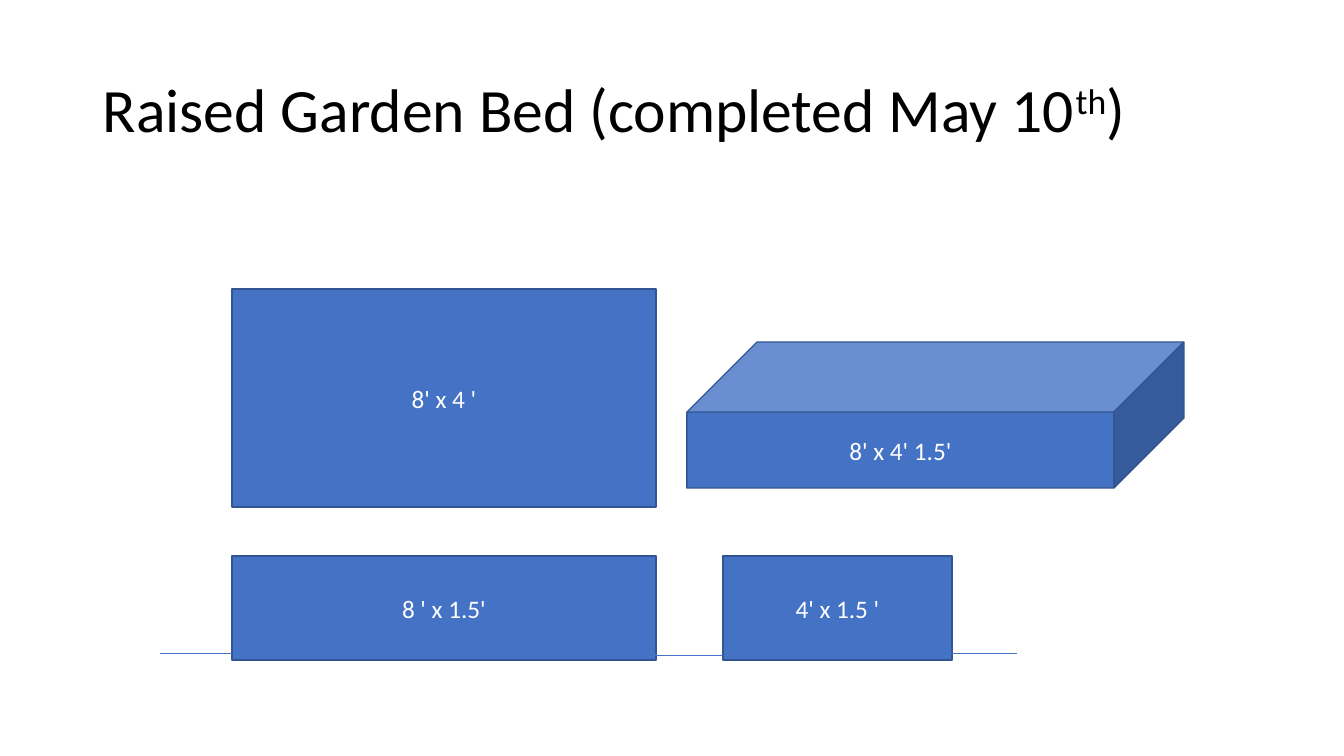
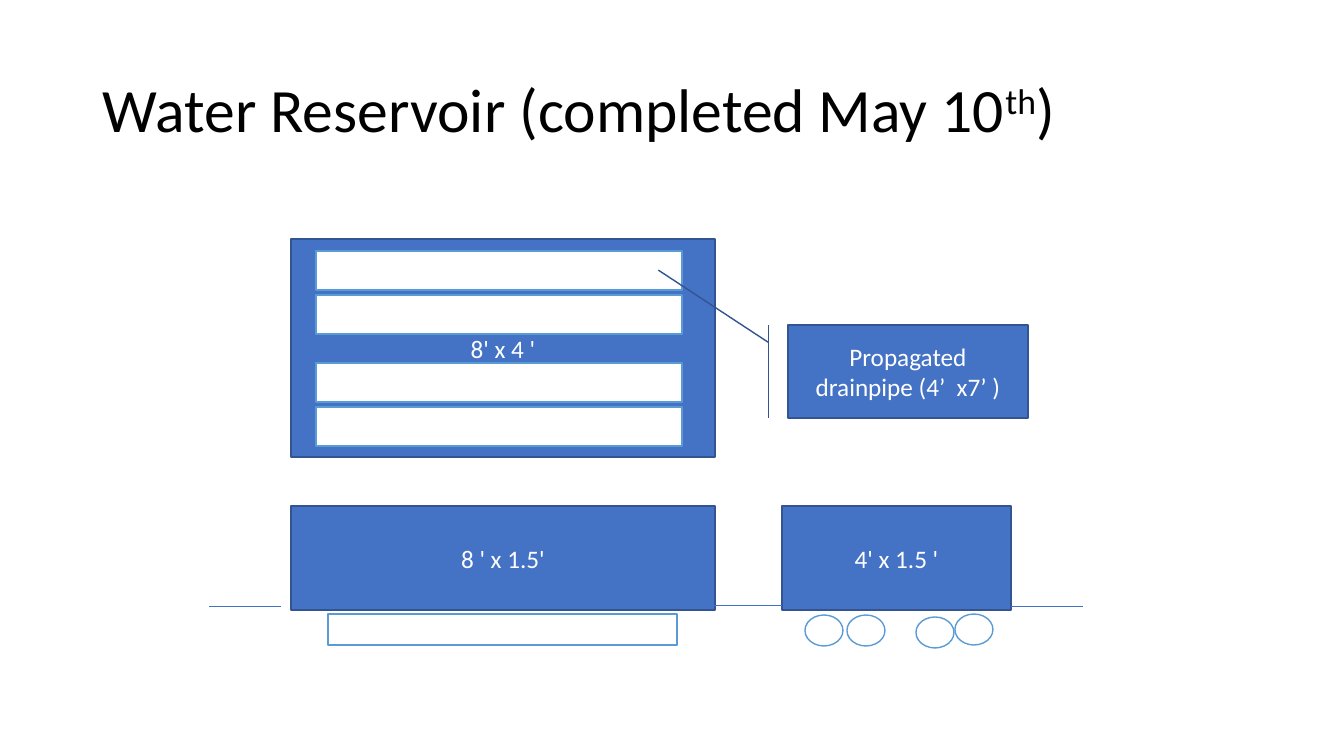
from pptx import Presentation
from pptx.dml.color import RGBColor
from pptx.enum import shapes, text
from pptx.oxml import ns
from pptx.util import Emu, Pt
from lxml import etree

SCALE = 914400 / 100.8
HUES = {"bed": "4472C4", "edge": "325491", "pipe": "5B9BD5", "white": "FFFFFF", "ink": "000000"}
KIND = shapes.MSO_SHAPE
BODY = {"size": Pt(18), "name": "Calibri"}
HEAD = {"size": Pt(44), "name": "Calibri"}
SOLID = {"fill": "bed", "edge": "edge"}
HOLLOW = {"fill": "white", "edge": "pipe"}
TITLE = (93, 40, 1159, 146)


def px(*vals):
    """Turn pixels into EMU."""
    return [Emu(round(v * SCALE)) for v in vals]


def hue(name):
    """Look up a colour."""
    return RGBColor.from_string(HUES[name])


def style(obj, vals):
    """Set each format value on an object."""
    for key, val in vals.items():
        setattr(obj, key, val)


def write(para, words, font, ink):
    """Add a styled run to a paragraph."""
    run = para.add_run()
    run.text = words
    style(run.font, font)
    run.font.color.rgb = hue(ink)
    return run


def title(slide, box, words):
    """Write a heading that ends in a raised ordinal and a bracket."""
    frame = slide.shapes.add_textbox(*px(*box)).text_frame
    style(frame, {"word_wrap": True, "vertical_anchor": text.MSO_ANCHOR.MIDDLE})
    para = frame.paragraphs[0]
    para.line_spacing = 0.9
    for part, base in ((words, 0), ("th", 30000), (")", 0)):
        run = write(para, part, HEAD, "ink")
        if base:
            run.font._element.set("baseline", str(base))


def block(slide, kind, box, look, words="", adj=()):
    """Draw one outlined shape with an optional centred label."""
    shape = slide.shapes.add_shape(kind, *px(*box))
    shape.shadow.inherit = False
    for i, val in enumerate(adj):
        shape.adjustments[i] = val
    shape.fill.solid()
    shape.fill.fore_color.rgb = hue(look["fill"])
    shape.line.color.rgb = hue(look["edge"])
    shape.line.width = Pt(1)
    if words:
        frame = shape.text_frame
        style(frame, {"word_wrap": True, "vertical_anchor": text.MSO_ANCHOR.MIDDLE})
        para = frame.paragraphs[0]
        para.alignment = text.PP_ALIGN.CENTER
        write(para, words, BODY, "white")


def views(slide, x, y):
    """Draw the top, front and end views of the bed."""
    for dx, dy, w, h, words in (
        (0, 0, 424, 218, "8' x 4 '"),
        (0, 267, 424, 104, "8 ' x 1.5'"),
        (491, 267, 229, 104, "4' x 1.5 '"),
    ):
        block(slide, KIND.RECTANGLE, (x + dx, y + dy, w, h), SOLID, words)


def ground(slide, x, y, marks):
    """Draw the ground line in equal pieces."""
    for dx, dy in marks:
        ends = px(x + dx, y + dy, x + dx + 72, y + dy)
        line = slide.shapes.add_connector(shapes.MSO_CONNECTOR.STRAIGHT, *ends)
        line.line.color.rgb = hue("bed")
        line.line.width = Pt(0.5)
        etree.SubElement(line._element.spPr, ns.qn("a:effectLst"))


def pipes(slide, x, y):
    """Draw the drainpipes from above, from the side and end on."""
    for dy in (12, 56, 124, 168):
        block(slide, KIND.RECTANGLE, (x + 25, y + dy, 366, 39), HOLLOW)
    block(slide, KIND.RECTANGLE, (x + 37, y + 375, 349, 31), HOLLOW)
    for dx, dy in ((514, 376), (556, 376), (625, 378), (664, 375)):
        block(slide, KIND.OVAL, (x + dx, y + dy, 38, 31), HOLLOW)


def garden(deck, x, y):
    """Build the raised bed slide."""
    slide = deck.slides.add_slide(deck.slide_layouts[6])
    title(slide, TITLE, "Raised Garden Bed (completed May 10")
    views(slide, x, y)
    ground(slide, x, y, ((-72, 364), (419, 366), (713, 364)))
    block(slide, KIND.CUBE, (x + 455, y + 53, 497, 146), SOLID, "8' x 4' 1.5'", (0.48,))


def water(deck, x, y):
    """Build the reservoir slide."""
    slide = deck.slides.add_slide(deck.slide_layouts[6])
    title(slide, TITLE, "Water Reservoir (completed May 10")
    views(slide, x, y)
    pipes(slide, x, y)
    ground(slide, x, y, ((-82, 367), (419, 366), (720, 367)))
    block(slide, KIND.LINE_CALLOUT_1_BORDER_AND_ACCENT_BAR, (x + 497, y + 86, 240, 93), SOLID,
          "Propagated drainpipe (4’  x7’ )", (0.19, -0.08, -0.59, -0.54))


deck = Presentation()
wide, high = px(1344, 756)
style(deck, {"slide_width": wide, "slide_height": high})
garden(deck, 232, 289)
water(deck, 291, 239)
deck.save("out.pptx")
